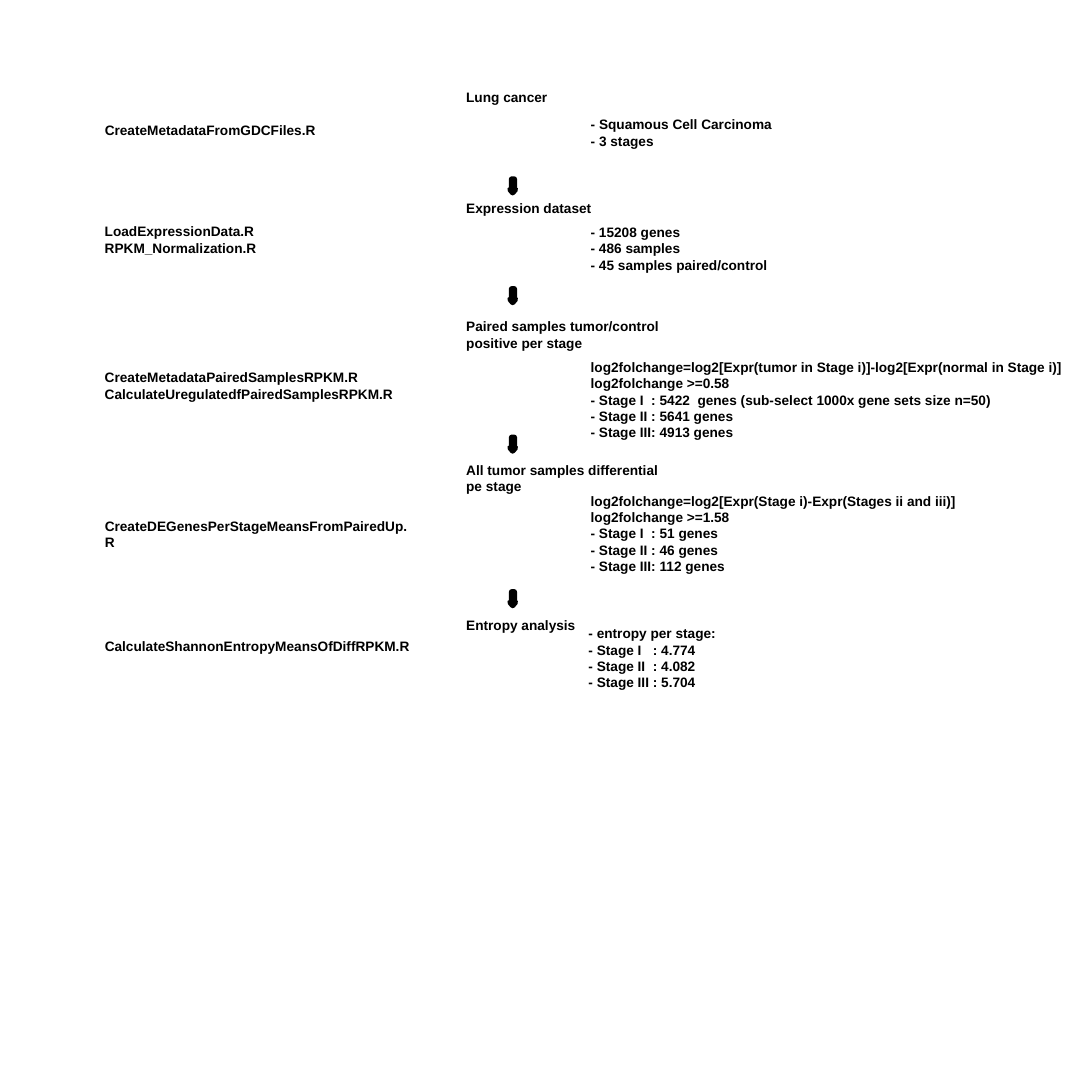
from dataclasses import dataclass

from lxml.etree import SubElement as add_element
from pptx import Presentation
from pptx.dml.color import RGBColor
from pptx.oxml.ns import qn
from pptx.util import Inches, Pt

COLORS = {"ink": "000000", "background": "FFFFFF"}
FONT = "Arial"
SCRIPT_LEFT, HEADING_LEFT, DETAIL_LEFT = 1.82, 8.44, 10.72
ARROW_LEFT = 9.34
ARROW_OUTLINE = [(0.03, 0), (0.03, 0.19), (0, 0.19), (0.05, 0.25),
                 (0.1, 0.19), (0.08, 0.19), (0.08, 0)]


@dataclass
class Part:
    """Text lines in a box whose offset is measured from the stage's top."""
    offset: float
    width: float
    height: float
    lines: list


@dataclass
class Stage:
    """One step of the workflow; the arrow to the next step is optional."""
    top: float
    heading: Part
    scripts: Part
    details: Part
    arrow_offset: float | None = None
    detail_shift: float = 0


STAGES = [
    Stage(1.57,
          Part(0, 2.67, 1.22, ["Lung cancer"]),
          Part(0.62, 4.25, 0.44, ["CreateMetadataFromGDCFiles.R"]),
          Part(0.51, 3.99, 0.94, ["- Squamous Cell Carcinoma", "- 3 stages"]),
          arrow_offset=1.71),
    Stage(3.62,
          Part(0, 2.67, 1.22, ["Expression dataset"]),
          Part(0.42, 3, 0.66, ["LoadExpressionData.R", "RPKM_Normalization.R"]),
          Part(0.43, 4.74, 1.22, ["- 15208 genes", "- 486 samples",
                                  "- 45 samples paired/control"]),
          arrow_offset=1.67),
    Stage(5.78,
          Part(0, 4.09, 0.66, ["Paired samples tumor/control positive per stage"]),
          Part(0.93, 6, 0.66, ["CreateMetadataPairedSamplesRPKM.R",
                               "CalculateUregulatedfPairedSamplesRPKM.R"]),
          Part(0.74, 9.2, 1.75, [
              "log2folchange=log2[Expr(tumor in Stage i)]-log2[Expr(normal in Stage i)]",
              "log2folchange >=0.58",
              "- Stage I  : 5422  genes (sub-select 1000x gene sets size n=50)",
              "- Stage II : 5641 genes",
              "- Stage III: 4913 genes"]),
          arrow_offset=2.23),
    Stage(8.41,
          Part(0, 3.97, 0.66, ["All tumor samples differential pe stage"]),
          Part(1.02, 5.85, 0.66, ["CreateDEGenesPerStageMeansFromPairedUp.R"]),
          Part(0.56, 9.2, 1.5, [
              "log2folchange=log2[Expr(Stage i)-Expr(Stages ii and iii)]",
              "log2folchange >=1.58",
              "- Stage I  : 51 genes",
              "- Stage II : 46 genes",
              "- Stage III: 112 genes"]),
          arrow_offset=2.43),
    Stage(11.25,
          Part(0, 2.56, 0.38, ["Entropy analysis"]),
          Part(0.39, 5.91, 0.66, ["CalculateShannonEntropyMeansOfDiffRPKM.R"]),
          Part(0.15, 4.63, 1.78, ["- entropy per stage:", "- Stage I   : 4.774",
                                  "- Stage II  : 4.082", "- Stage III : 5.704"]),
          detail_shift=-0.04),
]


def color(name):
    """Return the named colour."""
    return RGBColor.from_string(COLORS[name])


def add_part(slide, left, stage_top, part):
    """Write one part's lines as bold paragraphs."""
    shape = slide.shapes.add_textbox(Inches(left), Inches(stage_top + part.offset),
                                     Inches(part.width), Inches(part.height))
    frame = shape.text_frame
    frame.word_wrap = True
    for index, line in enumerate(part.lines):
        paragraph = frame.add_paragraph() if index else frame.paragraphs[0]
        paragraph.line_spacing = Pt(21.6)
        run = paragraph.add_run()
        run.text = line
        run.font.name = FONT
        run.font.size = Pt(18)
        run.font.bold = True
        run.font.color.rgb = color("ink")


def add_arrow(slide, left, top):
    """Draw a short solid arrow pointing down."""
    points = [(Inches(left + x), Inches(top + y)) for x, y in ARROW_OUTLINE]
    builder = slide.shapes.build_freeform(*points[0])
    builder.add_line_segments(points[1:], close=True)
    shape = builder.convert_to_shape()
    shape.shadow.inherit = False
    shape.fill.solid()
    shape.fill.fore_color.rgb = color("ink")
    shape.line.color.rgb = color("ink")
    shape.line.width = Pt(7.2)
    add_element(shape.line._get_or_add_ln(), qn("a:round"))


def add_stage(slide, stage):
    """Place a stage's scripts, heading, details and arrow."""
    add_part(slide, SCRIPT_LEFT, stage.top, stage.scripts)
    add_part(slide, HEADING_LEFT, stage.top, stage.heading)
    add_part(slide, DETAIL_LEFT + stage.detail_shift, stage.top, stage.details)
    if stage.arrow_offset is not None:
        add_arrow(slide, ARROW_LEFT, stage.top + stage.arrow_offset)


def main():
    """Build the workflow slide and save it."""
    presentation = Presentation()
    presentation.slide_width = presentation.slide_height = Inches(20)
    slide = presentation.slides.add_slide(presentation.slide_layouts[6])
    slide.background.fill.solid()
    slide.background.fill.fore_color.rgb = color("background")
    for stage in STAGES:
        add_stage(slide, stage)
    presentation.save("out.pptx")


if __name__ == "__main__":
    main()
